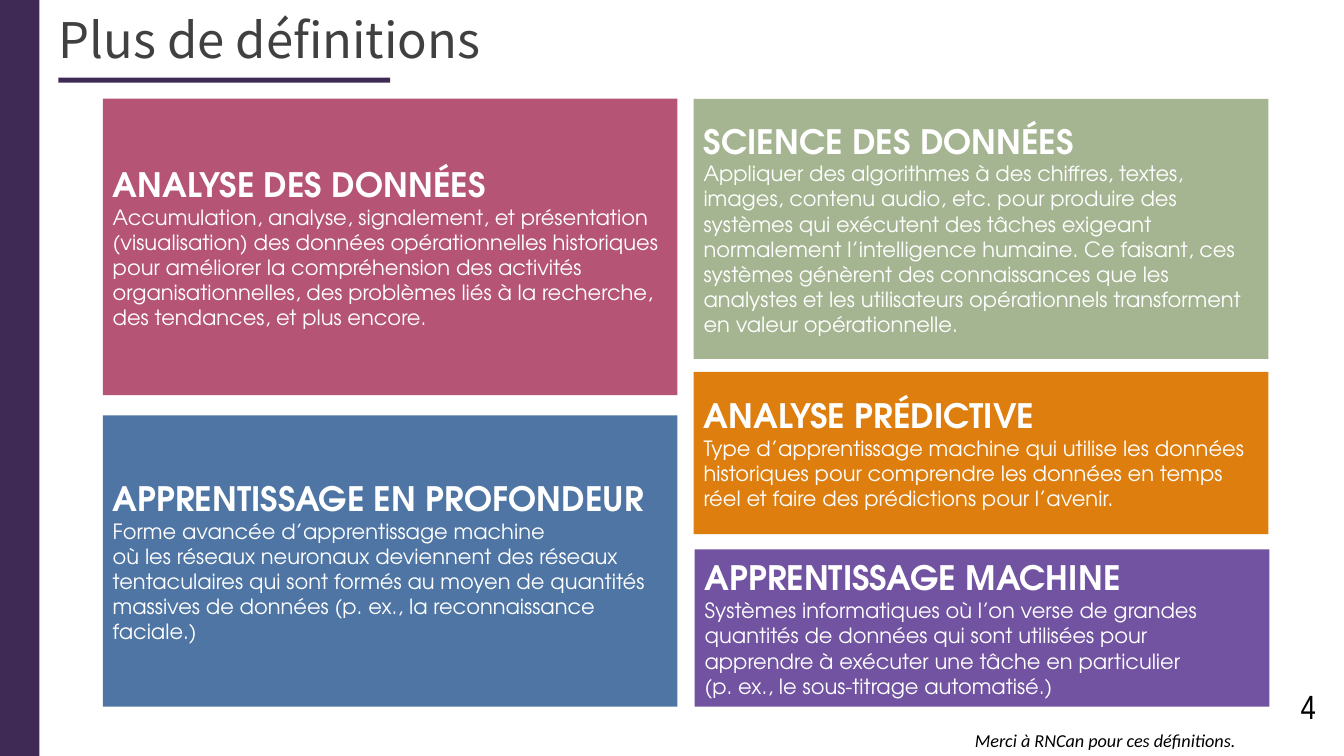
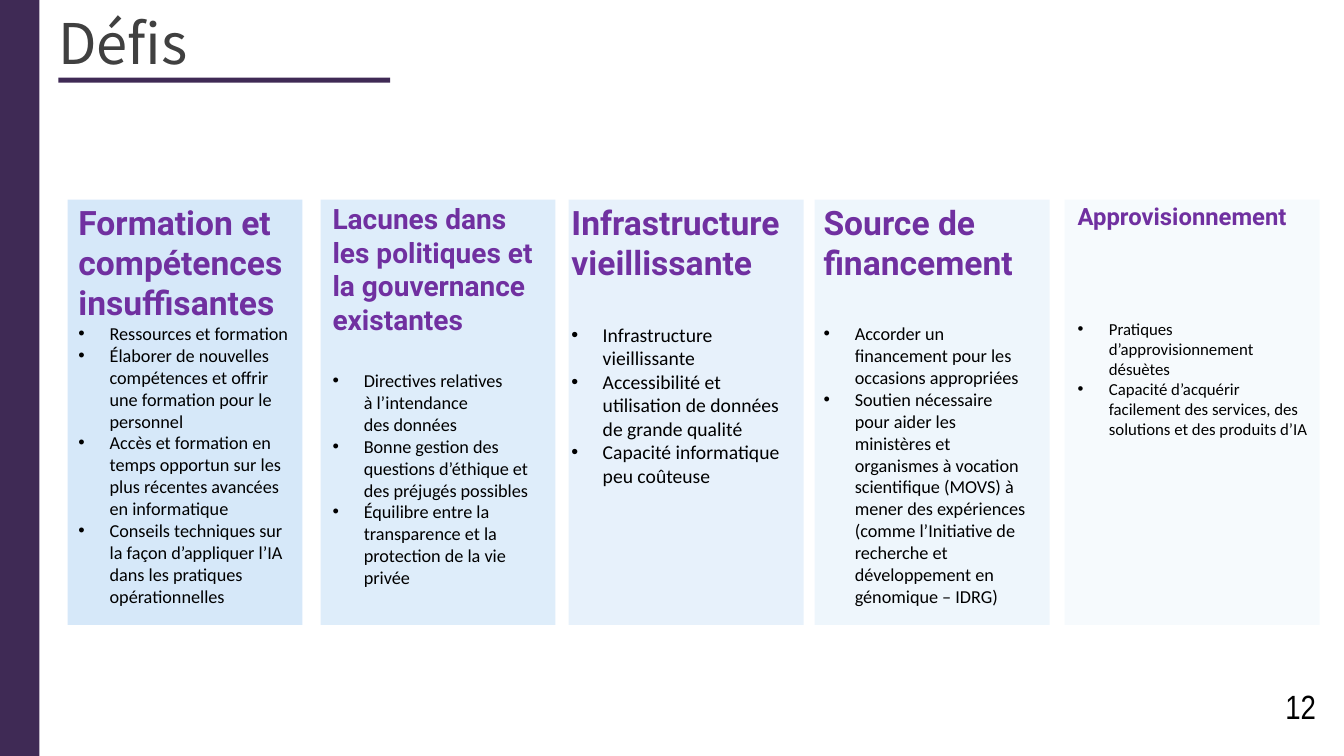
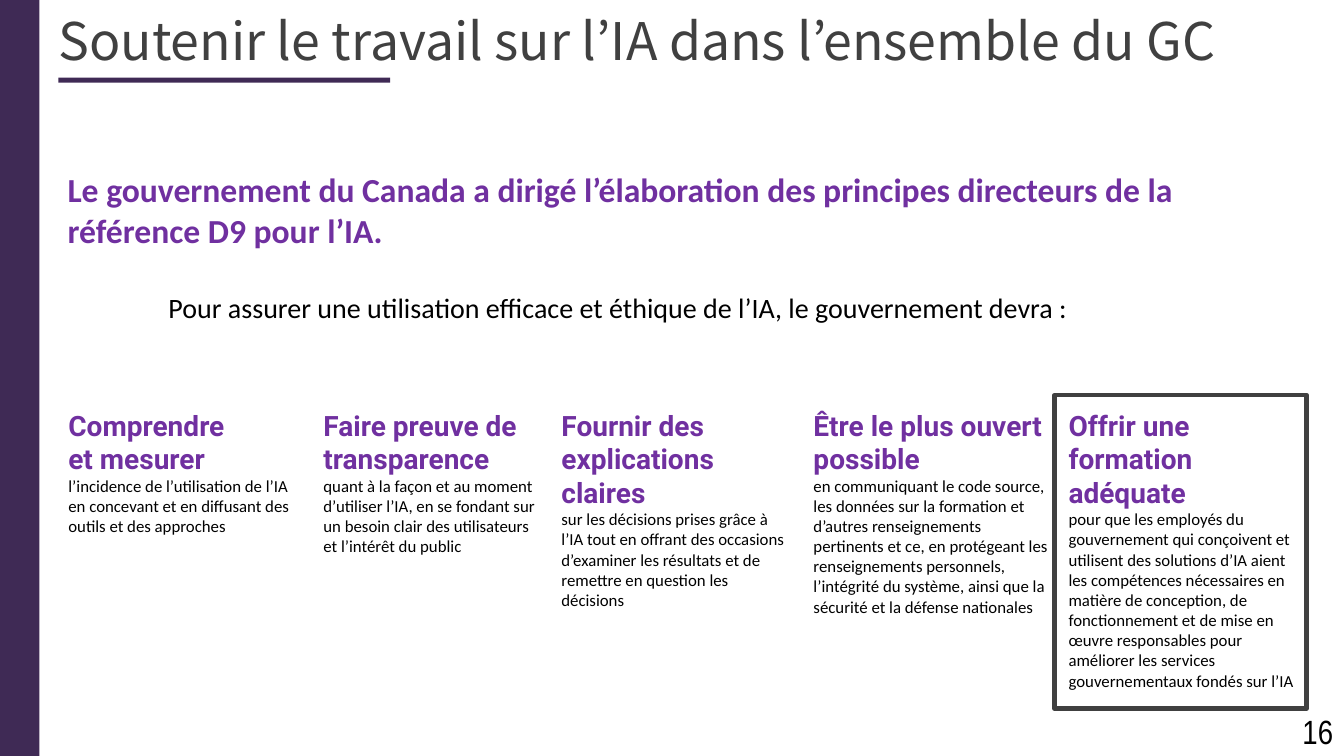
import copy
import dataclasses

import lxml.etree
import pptx
import pptx.dml.color
import pptx.enum.shapes
import pptx.enum.text
import pptx.oxml.ns
import pptx.util

Inches = pptx.util.Inches
Pt = pptx.util.Pt
Anchor = pptx.enum.text.MSO_ANCHOR
Align = pptx.enum.text.PP_ALIGN


@dataclasses.dataclass(frozen=True)
class Style:
    size: float
    font: str
    color: str
    bold: bool = False
    italic: bool = False

    def sized(self, size):
        return dataclasses.replace(self, size=size)


@dataclasses.dataclass(frozen=True)
class Theme:
    band: str = "3F2A55"
    card: str = "5EA7EA"
    white: str = "FFFFFF"
    frame: str = "404040"
    rose: str = "B55475"
    blue: str = "4E75A3"
    green: str = "A5B592"
    orange: str = "DD7E0E"
    violet: str = "7153A1"
    title: Style = Style(35, "Noto Sans CJK JP", "404040")
    number: Style = Style(24, "Arial Narrow", "000000")
    credit: Style = Style(13, "Calibri", "000000", italic=True)
    term: Style = Style(24, "TeX Gyre Adventor", "FFFFFF", bold=True)
    meaning: Style = Style(15, "TeX Gyre Adventor", "FFFFFF")
    heading: Style = Style(20, "Roboto", "7030A0", bold=True)
    body: Style = Style(12, "Calibri", "000000")
    statement: Style = Style(24, "Calibri", "7030A0", bold=True)
    lead: Style = Style(20, "Calibri", "000000")


THEME = Theme()


def rgb(color):
    return pptx.dml.color.RGBColor.from_string(color)


def add_element(parent, tag, **attributes):
    return lxml.etree.SubElement(parent, pptx.oxml.ns.qn(tag), **attributes)


def write(frame, text, style, first=False, before=0, align=Align.LEFT):
    """Add one paragraph; line feeds in the text become line breaks."""
    paragraph = frame.paragraphs[0] if first else frame.add_paragraph()
    paragraph.alignment = align
    paragraph.space_before = Pt(before)
    for index, line in enumerate(text.split("\n")):
        if index:
            paragraph.add_line_break()
            paragraph._p[-1].append(copy.deepcopy(run._r.rPr))
        run = paragraph.add_run()
        run.text = line
        run.font.size = Pt(style.size)
        run.font.name = style.font
        run.font.bold = style.bold
        run.font.italic = style.italic
        run.font.color.rgb = rgb(style.color)
    return paragraph


def indent(paragraph, left, hanging=0.0, bullet=None):
    properties = paragraph._p.get_or_add_pPr()
    properties.set("marL", str(Inches(left)))
    properties.set("indent", str(-Inches(hanging)))
    if bullet:
        add_element(properties, "a:buFont", typeface="Arial")
        add_element(properties, "a:buChar", char=bullet)
    else:
        add_element(properties, "a:buNone")


def add_rect(slide, box, fill, opacity=None, line=None, line_width=0):
    rect = slide.shapes.add_shape(
        pptx.enum.shapes.MSO_SHAPE.RECTANGLE, *map(Inches, box))
    rect.shadow.inherit = False
    rect.fill.solid()
    rect.fill.fore_color.rgb = rgb(fill)
    if opacity is not None:
        color = rect._element.spPr.find(".//" + pptx.oxml.ns.qn("a:srgbClr"))
        add_element(color, "a:alpha", val=str(opacity * 1000))
    if line:
        rect.line.color.rgb = rgb(line)
        rect.line.width = Pt(line_width)
    else:
        rect.line.fill.background()
    return rect


def add_text(slide, box, wrap=True):
    frame = slide.shapes.add_textbox(*map(Inches, box)).text_frame
    frame.word_wrap = wrap
    return frame


def place_placeholder(placeholder, box):
    (placeholder.left, placeholder.top,
     placeholder.width, placeholder.height) = map(Inches, box)
    frame = placeholder.text_frame
    frame.vertical_anchor = Anchor.TOP
    frame.auto_size = pptx.enum.text.MSO_AUTO_SIZE.NONE
    return frame


def add_slide(prs, layout, title, title_size, number, number_at=(12.43, 6.76)):
    """Add a slide with the title, side band, title rule and page number."""
    slide = prs.slides.add_slide(prs.slide_layouts.get_by_name(layout))
    frame = place_placeholder(slide.shapes.title, (0.48, 0.11, 12.13, 0.77))
    heading = write(frame, title, THEME.title.sized(title_size), first=True)
    heading.line_spacing = 0.9
    add_rect(slide, (0, 0, 0.39, 7.5), THEME.band)
    add_rect(slide, (0.58, 0.77, 3.29, 0.05), THEME.band)
    write(add_text(slide, (*number_at, 0.72, 0.5)), number, THEME.number,
          first=True, align=Align.RIGHT)
    return slide


def add_definition(slide, box, fill, term, meaning):
    frame = add_rect(slide, box, fill).text_frame
    frame.word_wrap = True
    frame.vertical_anchor = Anchor.MIDDLE
    write(frame, term, THEME.term, first=True)
    write(frame, meaning, THEME.meaning)


def add_challenge(slide, box, opacity, text_left, text_width, heading,
                  heading_size, gap, item_size, items):
    """Tinted card with a heading and, after a gap in points, a bullet list."""
    left, top, width, height = box
    add_rect(slide, box, THEME.card, opacity=opacity)
    frame = add_text(slide, (text_left, top - 0.03, text_width, height - 0.06))
    write(frame, heading, THEME.heading.sized(heading_size), first=True)
    for index, item in enumerate(items):
        paragraph = write(frame, item, THEME.body.sized(item_size),
                          before=0 if index else gap)
        indent(paragraph, 0.31, hanging=0.31, bullet="•")


def add_principle(slide, box, heading, detail):
    frame = add_text(slide, box)
    write(frame, heading, THEME.heading, first=True)
    write(frame, detail, THEME.body)


def build_definitions(prs):
    slide = add_slide(prs, "Title Only", "Plus de définitions", 35, "4")
    left, right, width = 1.02, 6.88, 5.7
    definitions = [
        (left, 0.98, 2.94, THEME.rose, "ANALYSE DES DONNÉES",
         "Accumulation, analyse, signalement, et présentation (visualisation) "
         "des données opérationnelles historiques pour améliorer la "
         "compréhension des activités organisationnelles, des problèmes liés "
         "à la recherche, des tendances, et plus encore."),
        (left, 4.12, 2.89, THEME.blue, "APPRENTISSAGE EN PROFONDEUR",
         "Forme avancée d’apprentissage machine \noù les réseaux neuronaux "
         "deviennent des réseaux tentaculaires qui sont formés au moyen de "
         "quantités massives de données (p. ex., la reconnaissance faciale.)"),
        (right, 0.98, 2.58, THEME.green, "SCIENCE DES DONNÉES",
         "Appliquer des algorithmes à des chiffres, textes, images, contenu "
         "audio, etc. pour produire des systèmes qui exécutent des tâches "
         "exigeant normalement l’intelligence humaine. Ce faisant, ces "
         "systèmes génèrent des connaissances que les analystes et les "
         "utilisateurs opérationnels transforment en valeur opérationnelle."),
        (right, 3.69, 1.61, THEME.orange, "ANALYSE PRÉDICTIVE",
         "Type d’apprentissage machine qui utilise les données historiques "
         "pour comprendre les données en temps réel et faire des prédictions "
         "pour l’avenir."),
        (right + 0.01, 5.45, 1.56, THEME.violet, "APPRENTISSAGE MACHINE",
         "Systèmes informatiques où l’on verse de grandes quantités de "
         "données qui sont utilisées pour apprendre à exécuter une tâche en "
         "particulier \n(p. ex., le sous-titrage automatisé.)"),
    ]
    for x, y, height, fill, term, meaning in definitions:
        add_definition(slide, (x, y, width, height), fill, term, meaning)
    write(add_text(slide, (9.57, 7.19, 2.82, 0.32), wrap=False),
          "Merci à RNCan pour ces définitions.", THEME.credit, first=True)


def build_challenges(prs):
    slide = add_slide(prs, "Title Only", "Défis", 40, "12")
    top, height = 1.98, 4.22
    challenges = [
        (0.67, 2.33, 25, 0.68, 2.33,
         "Formation et compétences insuffisantes", 24, 0, 13,
         ["Ressources et formation",
          "Élaborer de nouvelles compétences et offrir une formation pour le "
          "personnel",
          "Accès et formation en temps opportun sur les plus récentes "
          "avancées en informatique",
          "Conseils techniques sur la façon d’appliquer l’IA dans les "
          "pratiques opérationnelles"]),
        (3.18, 2.33, 20, 3.2, 2.34,
         "Lacunes dans les politiques et la gouvernance existantes", 20, 24, 13,
         ["Directives relatives \nà l’intendance \ndes données",
          "Bonne gestion des questions d’éthique et des préjugés possibles",
          "Équilibre entre la transparence et la protection de la vie privée"]),
        (5.64, 2.33, 15, 5.57, 2.5,
         "Infrastructure vieillissante", 24, 29, 14,
         ["Infrastructure vieillissante",
          "Accessibilité et utilisation de données \nde grande qualité",
          "Capacité informatique peu coûteuse"]),
        (8.08, 2.33, 10, 8.07, 2.24,
         "Source de financement", 24, 29, 13,
         ["Accorder un financement pour les occasions appropriées",
          "Soutien nécessaire pour aider les ministères et organismes à "
          "vocation scientifique (MOVS) à mener des expériences (comme "
          "l’Initiative de recherche et développement en génomique – IDRG)"]),
        (10.56, 2.53, 5, 10.59, 2.5,
         "Approvisionnement", 17, 63, 12,
         ["Pratiques d’approvisionnement désuètes",
          "Capacité d’acquérir facilement des services, des solutions et des "
          "produits d’IA"]),
    ]
    for left, width, *content in challenges:
        add_challenge(slide, (left, top, width, height), *content)


def build_principles(prs):
    slide = add_slide(prs, "Title and Content",
                      "Soutenir le travail sur l’IA dans l’ensemble du GC",
                      37, "16", number_at=(12.6, 7))
    intro = place_placeholder(slide.placeholders[1], (0.57, 1.63, 12.4, 1.65))
    statement = write(
        intro, "Le gouvernement du Canada a dirigé l’élaboration des principes "
        "directeurs de la référence D9 pour l’IA.", THEME.statement, first=True)
    indent(statement, 0)
    lead = write(
        intro, "Pour assurer une utilisation efficace et éthique de l’IA, le "
        "gouvernement devra :", THEME.lead, before=29)
    indent(lead, 1)

    add_rect(slide, (10.46, 3.92, 2.5, 3.11), THEME.white,
             line=THEME.frame, line_width=3.25)
    principles = [
        (0.58, 2.53, "Comprendre \net mesurer",
         "l’incidence de l’utilisation de l’IA en concevant et en diffusant "
         "des outils et des approches"),
        (3.11, 2.34, "Faire preuve de transparence",
         "quant à la façon et au moment d’utiliser l’IA, en se fondant sur un "
         "besoin clair des utilisateurs et l’intérêt du public"),
        (5.47, 2.5, "Fournir des explications claires",
         "sur les décisions prises grâce à l’IA tout en offrant des occasions "
         "d’examiner les résultats et de remettre en question les décisions"),
        (7.97, 2.53, "Être le plus ouvert possible",
         "en communiquant le code source, les données sur la formation et "
         "d’autres renseignements pertinents et ce, en protégeant les "
         "renseignements personnels, l’intégrité du système, ainsi que la "
         "sécurité et la défense nationales"),
        (10.5, 2.5, "Offrir une formation adéquate",
         "pour que les employés du gouvernement qui conçoivent et utilisent "
         "des solutions d’IA aient les compétences nécessaires en matière de "
         "conception, de fonctionnement et de mise en œuvre responsables pour "
         "améliorer les services gouvernementaux fondés sur l’IA"),
    ]
    for left, width, heading, detail in principles:
        add_principle(slide, (left, 4, width, 2.93), heading, detail)


def main():
    prs = pptx.Presentation()
    prs.slide_width, prs.slide_height = Inches(13.33), Inches(7.5)
    build_definitions(prs)
    build_challenges(prs)
    build_principles(prs)
    prs.save("out.pptx")


if __name__ == "__main__":
    main()
